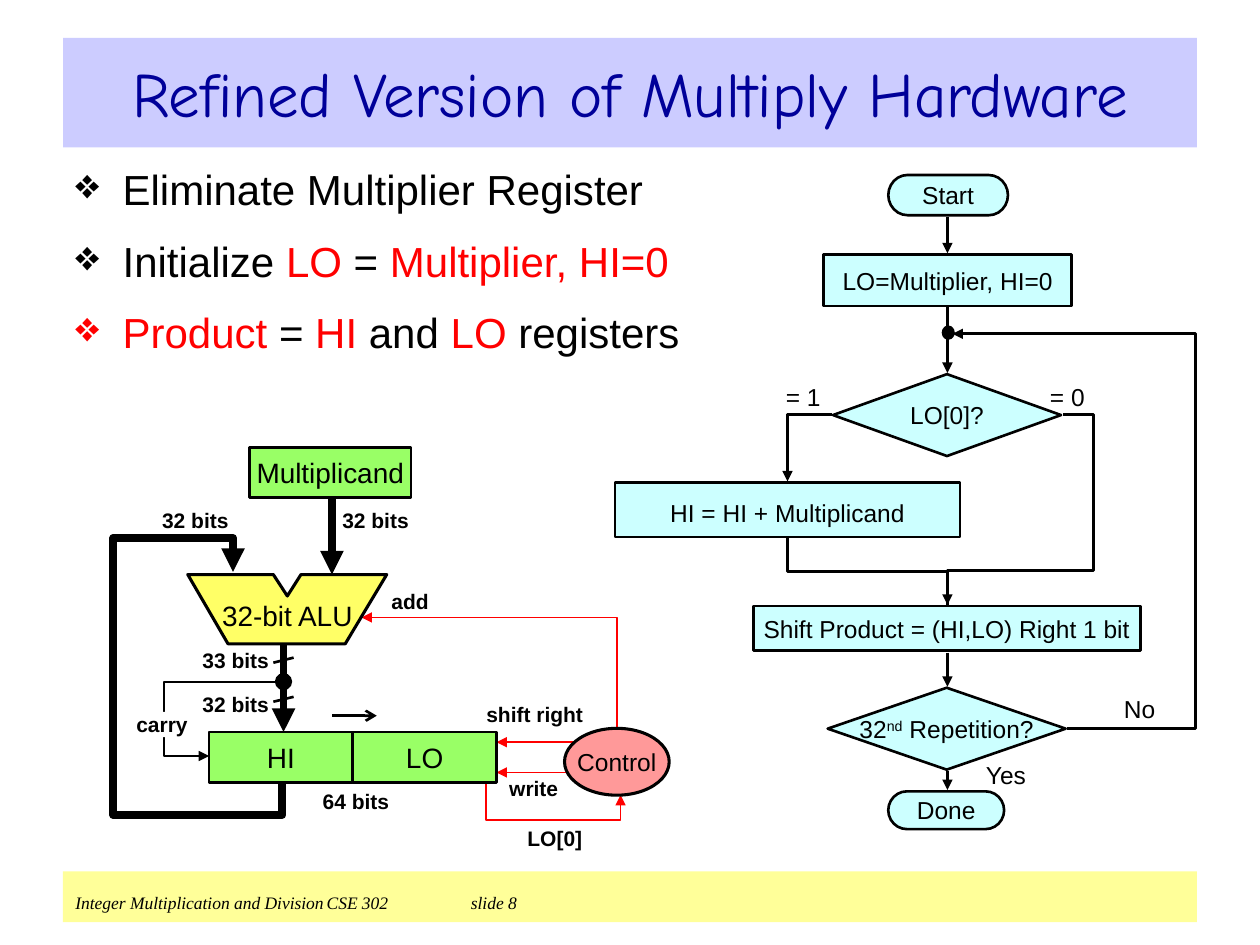
from dataclasses import dataclass
from typing import NamedTuple, Optional

from lxml.etree import SubElement
from pptx import Presentation
from pptx.dml.color import RGBColor
from pptx.enum.shapes import MSO_CONNECTOR, MSO_SHAPE
from pptx.enum.text import MSO_ANCHOR, MSO_AUTO_SIZE, PP_ALIGN
from pptx.oxml.ns import qn
from pptx.util import Pt


@dataclass(frozen=True)
class Theme:
    sans: str = "Arial"
    title_font: str = "Comic Neue"
    footer_font: str = "Times New Roman"
    title_size: float = 36
    body_size: float = 24
    unit_size: float = 16
    step_size: float = 14
    signal_size: float = 12
    footer_size: float = 10
    black: str = "000000"
    red: str = "FF0000"
    white: str = "FFFFFF"
    title_text: str = "000099"
    title_band: str = "CCCCFF"
    footer_band: str = "FFFF99"
    step: str = "CCFFFF"
    register: str = "99FF66"
    alu: str = "FFFF66"
    control: str = "FF9999"


THEME = Theme()


class Span(NamedTuple):
    text: str
    color: str = THEME.black
    baseline: int = 0


class Box(NamedTuple):
    left: float
    top: float
    width: float
    height: float


@dataclass(frozen=True)
class Node:
    text: str | list
    box: Box
    fill: Optional[str] = THEME.step
    size: float = THEME.step_size
    kind: MSO_SHAPE = MSO_SHAPE.RECTANGLE
    weight: float = 1.5
    bold: bool = False
    line_spacing: float = 1


@dataclass(frozen=True)
class Wire:
    points: list
    color: str = THEME.black
    weight: float = 1.5
    head: str = ""
    tail: str = "triangle"


@dataclass(frozen=True)
class Elbow:
    preset: str
    box: Box
    rotation: int = 0
    flips: str = ""
    bends: tuple = ()
    tail: str = "triangle"


def write(paragraph, text, *, size, font=THEME.sans, color=THEME.black, bold=False,
          italic=False, align=PP_ALIGN.LEFT, line_spacing=1):
    paragraph.alignment = align
    if line_spacing != 1:
        paragraph.line_spacing = line_spacing
    for span in [Span(text, color)] if isinstance(text, str) else text:
        run = paragraph.add_run()
        run.text = span.text
        run.font.name = font
        run.font.size = Pt(size)
        run.font.bold = bold
        run.font.italic = italic
        run.font.color.rgb = RGBColor.from_string(span.color)
        if span.baseline:
            run._r.get_or_add_rPr().set("baseline", str(span.baseline * 1000))


def set_frame(frame, x: float = 0, y: float = 0, anchor=MSO_ANCHOR.MIDDLE, wrap: bool = False):
    frame.auto_size = MSO_AUTO_SIZE.NONE
    frame.word_wrap = wrap
    frame.vertical_anchor = anchor
    frame.margin_left = frame.margin_right = Pt(x)
    frame.margin_top = frame.margin_bottom = Pt(y)


def paint(shape, fill: Optional[str]):
    if fill:
        shape.fill.solid()
        shape.fill.fore_color.rgb = RGBColor.from_string(fill)
    else:
        shape.fill.background()


def stroke(shape, color: str, weight: float, head: str = "", tail: str = ""):
    shape.line.color.rgb = RGBColor.from_string(color)
    shape.line.width = Pt(weight)
    outline = shape._element.spPr.find(qn("a:ln"))
    for tag, kind in (("a:headEnd", head), ("a:tailEnd", tail)):
        if kind:
            size = "lg" if kind == "oval" else "med"
            SubElement(outline, qn(tag), type=kind, w=size, len=size)


def draw_node(shapes, node: Node):
    shape = shapes.add_shape(node.kind, *map(Pt, node.box))
    shape.shadow.inherit = False
    paint(shape, node.fill)
    if node.weight:
        stroke(shape, THEME.black, node.weight)
    else:
        shape.line.fill.background()
    set_frame(shape.text_frame)
    if node.text:
        write(shape.text_frame.paragraphs[0], node.text, size=node.size, bold=node.bold,
              align=PP_ALIGN.CENTER, line_spacing=node.line_spacing)


def draw_label(shapes, node: Node):
    frame = shapes.add_textbox(*map(Pt, node.box)).text_frame
    set_frame(frame)
    write(frame.paragraphs[0], node.text, size=node.size, bold=node.bold, align=PP_ALIGN.CENTER)


def draw_outline(shapes, points: list, close: bool = False):
    corners = [(Pt(x), Pt(y)) for x, y in points]
    builder = shapes.build_freeform(*corners[0])
    builder.add_line_segments(corners[1:], close=close)
    shape = builder.convert_to_shape()
    shape.shadow.inherit = False
    return shape


def draw_wire(shapes, wire: Wire):
    if len(wire.points) == 2:
        (x1, y1), (x2, y2) = wire.points
        line = shapes.add_connector(MSO_CONNECTOR.STRAIGHT, Pt(x1), Pt(y1), Pt(x2), Pt(y2))
        SubElement(line._element.spPr, qn("a:effectLst"))
    else:
        line = draw_outline(shapes, wire.points)
        paint(line, None)
    stroke(line, wire.color, wire.weight, wire.head, wire.tail)


def draw_elbow(shapes, elbow: Elbow):
    left, top, width, height = elbow.box
    line = shapes.add_connector(MSO_CONNECTOR.ELBOW, Pt(left), Pt(top), Pt(left + width), Pt(top + height))
    properties = line._element.spPr
    SubElement(properties, qn("a:effectLst"))
    frame = properties.find(qn("a:xfrm"))
    frame.set("rot", str(elbow.rotation * 60000))
    for flip in elbow.flips:
        frame.set("flip" + flip.upper(), "1")
    geometry = properties.find(qn("a:prstGeom"))
    geometry.set("prst", elbow.preset)
    guides = geometry.find(qn("a:avLst"))
    for number, bend in enumerate(elbow.bends, 1):
        SubElement(guides, qn("a:gd"), name=f"adj{number}", fmla=f"val {round(bend * 100000)}")
    stroke(line, THEME.black, 1.5, tail=elbow.tail)


def add_bullets(shapes, points: list):
    frame = shapes.add_textbox(Pt(36), Pt(90), Pt(648), Pt(177)).text_frame
    set_frame(frame, 7.2, 3.6, MSO_ANCHOR.TOP, True)
    for index, spans in enumerate(points):
        paragraph = frame.add_paragraph() if index else frame.paragraphs[0]
        if index:
            paragraph.space_before = Pt(12)
        properties = paragraph._p.get_or_add_pPr()
        properties.set("marL", str(Pt(27)))
        properties.set("indent", str(Pt(-27)))
        SubElement(SubElement(properties, qn("a:buClr")), qn("a:srgbClr"), val=spans[0].color)
        SubElement(properties, qn("a:buChar"), char="❖")
        write(paragraph, spans, size=THEME.body_size)


def add_footer(shapes):
    draw_node(shapes, Node("", Box(36, 498, 648, 29), THEME.footer_band, weight=0))
    frame = shapes[-1].text_frame
    set_frame(frame, 7.2, 12, MSO_ANCHOR.TOP)
    frame.margin_bottom = 0
    frame.word_wrap = True
    paragraph = frame.paragraphs[0]
    tabs = SubElement(paragraph._p.get_or_add_pPr(), qn("a:tabLst"))
    for position in (143.6, 226):
        SubElement(tabs, qn("a:tab"), pos=str(Pt(position)), algn="l")
    write(paragraph, "Integer Multiplication and Division\tCSE 302\tslide 8",
          size=THEME.footer_size, font=THEME.footer_font, italic=True)


def add_title(slide):
    title = slide.shapes.title
    title.left, title.top, title.width, title.height = map(Pt, (36, 21.6, 648, 62.6))
    paint(title, THEME.title_band)
    set_frame(title.text_frame, 0, 3.6, wrap=True)
    write(title.text_frame.paragraphs[0], "Refined Version of Multiply Hardware", size=THEME.title_size,
          font=THEME.title_font, color=THEME.title_text, align=PP_ALIGN.CENTER)


def signal(text: str, left: float, top: float, width: float) -> Node:
    return Node(text, Box(left, top, width, 14), size=THEME.signal_size, bold=True)


def register(text: str, left: float, top: float, width: float) -> Node:
    return Node(text, Box(left, top, width, 28.8), THEME.register, THEME.unit_size)


BULLETS = [
    [Span("Eliminate Multiplier Register")],
    [Span("Initialize "), Span("LO", THEME.red), Span(" = "), Span("Multiplier, HI=0", THEME.red)],
    [Span("Product", THEME.red), Span(" ="), Span(" HI ", THEME.red), Span("and"),
     Span(" LO ", THEME.red), Span("registers")],
]
AXIS = 541.4
ALU = [(221, 328.3), (172, 328.3), (164.2, 340.6), (156.2, 328.3), (107.3, 328.3), (130.3, 367.9), (197.3, 367.9)]
ELBOWS = [
    Elbow("bentConnector2", Box(450, 236.9, 25.2, 38.2), 180, "v"),
    Elbow("bentConnector3", Box(476.6, 280.8, 38.2, 91.4), 270, "h", (0.5,)),
    Elbow("bentConnector4", Box(AXIS, 236.9, 66.2, 108.7), 0, "h", (-0.26, 0.82), ""),
    Elbow("bentConnector4", Box(544.3, 190.8, 65.5, 225.7), 0, "hv", (-1.12, 1)),
]
WIRES = [Wire([(AXIS, start), (AXIS, end)])
         for start, end in ((123.8, 144.7), (175.7, 213.1), (373, 392.4), (440.6, 451.4))] + [
    Wire([(161.3, 446.4), (161.3, 465.8), (64.8, 465.8), (64.8, 307.4), (133.2, 307.4), (133.2, 326.9)], weight=4.5),
    Wire([(162, 367.2), (162, 418.3)], weight=4.5),
    Wire([(189.7, 281.5), (189.7, 328.3)], weight=4.5),
    Wire([(277.9, 445.7), (277.9, 468.7), (354.6, 468.7), (354.6, 454.3)], THEME.red, 1),
    Wire([(329, 424.1), (283.7, 424.1)], THEME.red, 1),
    Wire([(326.2, 441.4), (283.7, 441.4)], THEME.red, 1),
    Wire([(206.6, 352.8), (352.8, 352.8), (352.8, 419)], THEME.red, 1, "triangle", ""),
    Wire([(190, 409), (215.3, 409)], tail="arrow"),
    Wire([(156.2, 378.7), (167.8, 375.8)], tail=""),
    Wire([(156.2, 401), (167.8, 398.2)], tail=""),
    Wire([(162, 389.5), (93.6, 389.5), (93.6, 432), (119.5, 432)], weight=1, head="oval"),
]
NODES = [
    Node("", Box(538.6, 186.5, 6.5, 7.2), THEME.black, kind=MSO_SHAPE.OVAL, weight=1),
    Node("Start", Box(507.6, 100, 68.4, 23), kind=MSO_SHAPE.FLOWCHART_TERMINATOR),
    Node("LO=Multiplier, HI=0", Box(470.7, 145.4, 141.8, 29.5)),
    Node("LO[0]?", Box(476, 213.8, 130.3, 46.8), kind=MSO_SHAPE.FLOWCHART_DECISION),
    Node("HI = HI + Multiplicand", Box(351.4, 275.8, 197.3, 31), line_spacing=1.2),
    Node("Shift Product = (HI,LO) Right 1 bit", Box(430.6, 346.3, 221, 25.6)),
    Node([Span("32"), Span("nd", baseline=30), Span(" Repetition?")], Box(473, 393, 136, 46.8),
         kind=MSO_SHAPE.FLOWCHART_DECISION),
    Node("Done", Box(507.6, 452.2, 66.2, 21.6), kind=MSO_SHAPE.FLOWCHART_TERMINATOR),
    Node("Control", Box(322.6, 416.2, 59.8, 38.2), THEME.control, kind=MSO_SHAPE.OVAL, weight=1.75),
    register("Multiplicand", 142.6, 255.6, 92.2),
    register("HI", 119.5, 418.3, 82.1),
    register("LO", 201.6, 418.3, 82.1),
    Node("carry", Box(74.2, 406.8, 36.7, 14.4), THEME.white, THEME.signal_size, weight=0, bold=True),
]
LABELS = [
    Node("= 0", Box(592.6, 214.6, 34.6, 24.5)),
    Node("= 1", Box(442, 214.6, 34, 24.5)),
    Node("No", Box(635, 393, 32.4, 24.5)),
    Node("Yes", Box(555.8, 430.6, 38.2, 24.5)),
    Node("32-bit ALU", Box(121.7, 337.7, 85, 28), size=THEME.unit_size),
    signal("32 bits", 90.7, 290.4, 41.8), signal("32 bits", 193.7, 290.4, 41.8),
    signal("33 bits", 113.8, 370.4, 41.8), signal("32 bits", 113.8, 395.6, 41.8),
    signal("64 bits", 182.9, 450.9, 41), signal("add", 216, 336.6, 36.7),
    signal("shift right", 270.7, 401.2, 69.8), signal("write", 286.6, 443.2, 36.7),
    signal("LO[0]", 282.2, 472, 69.8),
]


def main():
    deck = Presentation()
    deck.slide_width, deck.slide_height = Pt(720), Pt(540)
    slide = deck.slides.add_slide(deck.slide_layouts[5])
    shapes = slide.shapes
    add_title(slide)
    add_footer(shapes)
    add_bullets(shapes, BULLETS)
    for elbow in ELBOWS:
        draw_elbow(shapes, elbow)
    for wire in WIRES:
        draw_wire(shapes, wire)
    alu = draw_outline(shapes, ALU, close=True)
    paint(alu, THEME.alu)
    stroke(alu, THEME.black, 1.75)
    for node in NODES:
        draw_node(shapes, node)
    for label in LABELS:
        draw_label(shapes, label)
    deck.save("out.pptx")


if __name__ == "__main__":
    main()
